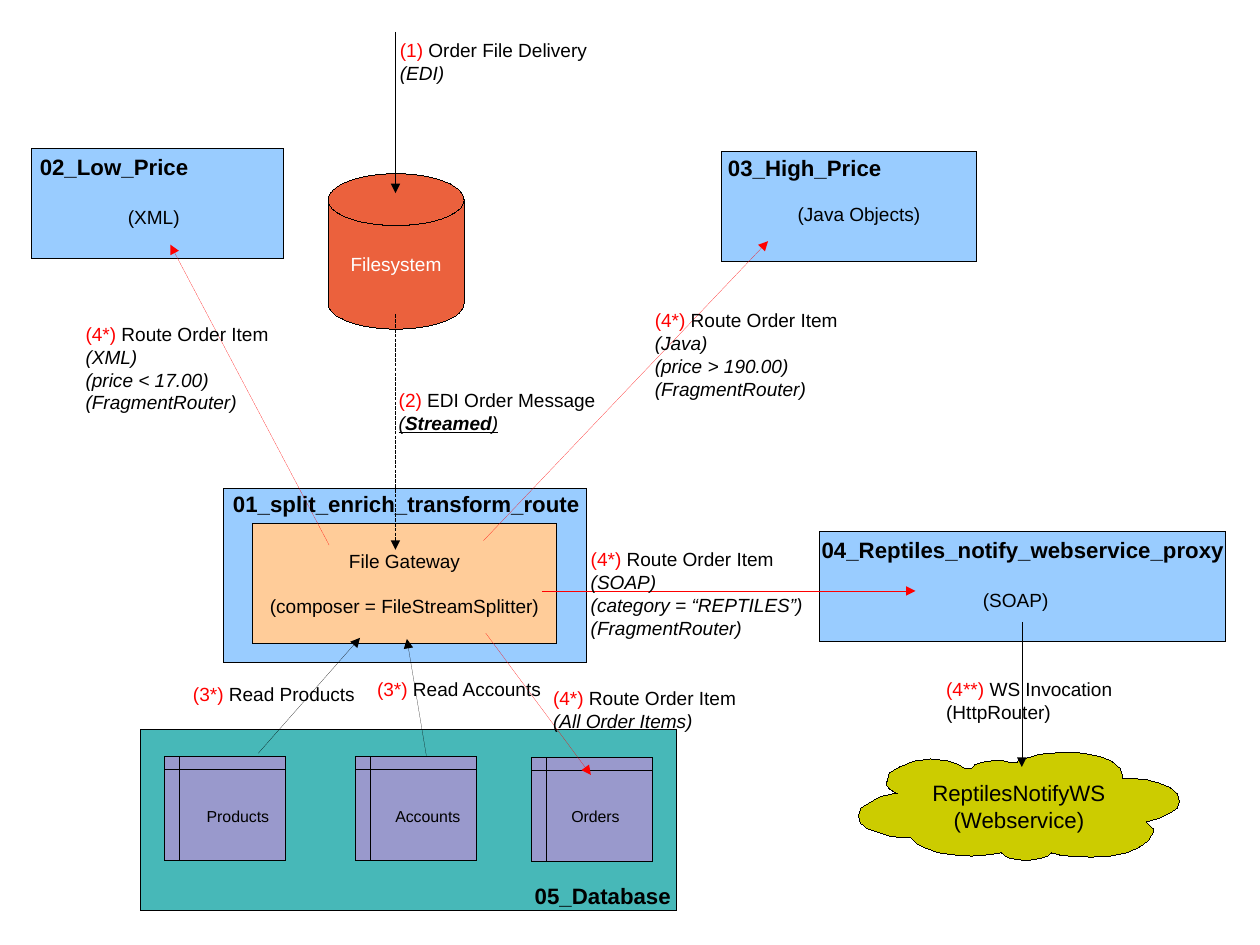
from lxml.etree import SubElement
from pptx import Presentation
from pptx.dml.color import RGBColor
from pptx.enum.dml import MSO_LINE
from pptx.enum.shapes import MSO_CONNECTOR, MSO_SHAPE
from pptx.enum.text import MSO_ANCHOR, MSO_AUTO_SIZE, PP_ALIGN
from pptx.oxml.ns import qn
from pptx.util import Cm, Inches, Pt

BLACK, RED, WHITE = "000000", "FF0000", "FFFFFF"
BLUE, PEACH, TEAL = "99CCFF", "FFCC99", "47B8B8"
LILAC, ORANGE, OLIVE = "9999CC", "EB613D", "CCCC00"
HAIR = Pt(0.01)
SLACK = 0.04  # keeps each label on its own line

# style: (size, colour, font settings)
STYLES = {
    "plain": (12, BLACK, {}),
    "tag": (12, RED, {}),
    "white": (12, WHITE, {}),
    "italic": (12, BLACK, {"italic": True}),
    "under": (12, BLACK, {"italic": True, "underline": True}),
    "strong": (12, BLACK, {"italic": True, "underline": True, "bold": True}),
    "head": (14, BLACK, {"bold": True}),
    "large": (14, BLACK, {}),
    "small": (10, BLACK, {}),
}

RECT, DISK = MSO_SHAPE.RECTANGLE, MSO_SHAPE.FLOWCHART_MAGNETIC_DISK
STORE = MSO_SHAPE.FLOWCHART_INTERNAL_STORAGE

# kind, left, top, width, height, fill, style, centred lines
BOXES = [
    (RECT, 1.23, 6.38, 4.69, 1.59, TEAL, "plain", []),
    (RECT, 1.96, 4.27, 3.17, 1.53, BLUE, "plain", []),
    (RECT, 2.21, 4.58, 2.66, 1.05, PEACH, "plain",
     ["File Gateway", "(composer = FileStreamSplitter)"]),
    (DISK, 2.87, 1.52, 1.19, 1.36, ORANGE, "white", ["Filesystem"]),
    (RECT, 0.28, 1.3, 2.2, 0.96, BLUE, "plain", []),
    (RECT, 6.31, 1.33, 2.23, 0.96, BLUE, "plain", []),
    (RECT, 7.17, 4.65, 3.55, 0.96, BLUE, "plain", []),
    (STORE, 1.44, 6.62, 1.06, 0.91, LILAC, "plain", []),
    (STORE, 3.11, 6.62, 1.06, 0.91, LILAC, "plain", []),
    (STORE, 4.65, 6.63, 1.06, 0.91, LILAC, "plain", []),
]

# outline in hundredths of an inch
CLOUD = [
    (1003, 719), (1005, 721), (1007, 723), (1009, 725), (1009, 728), (1005, 735),
    (997, 741), (986, 746), (971, 749), (954, 750), (944, 749), (935, 749),
    (927, 748), (920, 746), (916, 749), (910, 751), (905, 752), (897, 753),
    (891, 752), (884, 751), (880, 749), (876, 746), (871, 747), (863, 748),
    (850, 749), (835, 748), (821, 746), (810, 742), (802, 738), (797, 733),
    (793, 733), (780, 732), (768, 728), (759, 725), (753, 720), (751, 714),
    (753, 707), (761, 702), (770, 697), (783, 694), (785, 694), (781, 692),
    (778, 690), (776, 687), (776, 684), (778, 676), (787, 671), (799, 666),
    (814, 664), (823, 665), (831, 666), (839, 669), (844, 672), (850, 672),
    (853, 669), (859, 667), (865, 666), (872, 665), (876, 665), (880, 666),
    (884, 667), (890, 667), (890, 666), (899, 663), (909, 660), (920, 659),
    (933, 658), (948, 659), (963, 662), (973, 666), (980, 672), (982, 678),
    (982, 681), (988, 681), (1003, 682), (1014, 685), (1024, 689), (1030, 694),
    (1032, 701), (1030, 707), (1024, 711), (1014, 716),
]
SERVICE = ["ReptilesNotifyWS", "(Webservice)"]

# start x, start y, end x, end y, colour, dashed
ARROWS = [
    (3.46, 0.28, 3.46, 1.69, BLACK, False),
    (3.46, 2.75, 3.46, 4.81, BLACK, True),
    (2.26, 6.59, 3.15, 5.58, BLACK, False),
    (3.73, 6.61, 3.56, 5.59, BLACK, False),
    (2.88, 4.77, 1.49, 2.14, RED, False),
    (4.25, 5.54, 5.17, 6.78, RED, False),
    (4.23, 4.73, 6.72, 2.11, RED, False),
    (4.74, 5.17, 8.01, 5.17, RED, False),
    (8.94, 5.44, 8.94, 6.71, BLACK, False),
]

# left, top, width, style, text
LABELS = [
    (4.58, 7.67, 1.39, "head", "05_Database"),
    (1.94, 4.24, 3.23, "head", "01_split_enrich_transform_route"),
    (0.25, 1.29, 1.5, "head", "02_Low_Price"),
    (6.27, 1.3, 1.54, "head", "03_High_Price"),
    (7.09, 4.64, 3.72, "head", "04_Reptiles_notify_webservice_proxy"),
    (1.02, 1.75, 0.65, "plain", "(XML)"),
    (6.88, 1.72, 1.27, "plain", "(Java Objects)"),
    (8.5, 5.1, 0.77, "plain", "(SOAP)"),
    (1.71, 7.01, 0.74, "small", "Products"),
    (3.36, 7.01, 0.77, "small", "Accounts"),
    (4.9, 7.01, 0.62, "small", "Orders"),
]

# left, top, width, step, title, further lines of (style, text) runs
ROUTE = "Route Order Item"
ROUTER = [("italic", "(FragmentRouter)")]
STEPS = [
    (3.4, 0.29, 1.84, "(1)", "Order File Delivery", [[("italic", "(EDI)")]]),
    (3.39, 3.35, 1.92, "(2)", "EDI Order Message",
     [[("under", "("), ("strong", "Streamed"), ("under", ")")]]),
    (1.59, 5.92, 1.62, "(3*)", "Read Products", []),
    (3.2, 5.88, 1.65, "(3*)", "Read Accounts", []),
    (0.65, 2.77, 1.81, "(4*)", ROUTE,
     [[("italic", "(XML)")], [("italic", "(price < 17.00)")], ROUTER]),
    (4.74, 5.96, 1.81, "(4*)", ROUTE, [[("italic", "(All Order Items)")]]),
    (5.63, 2.65, 1.81, "(4*)", ROUTE,
     [[("italic", "(Java)")], [("italic", "(price > 190.00)")], ROUTER]),
    (5.07, 4.74, 2.06, "(4*)", ROUTE,
     [[("italic", "(SOAP)")], [("italic", "(category = “REPTILES”)")], ROUTER]),
    (8.18, 5.88, 1.66, "(4**)", "WS Invocation", [[("plain", "(HttpRouter)")]]),
]


def color(code):
    return RGBColor.from_string(code)


def write(frame, lines, align=PP_ALIGN.LEFT, gap=0):
    """Fill a text frame with lines, each a list of (style, text) runs."""
    for i, runs in enumerate(lines):
        para = frame.add_paragraph() if i else frame.paragraphs[0]
        para.alignment = align
        if i:
            para.space_before = Pt(gap)
        for style, text in runs:
            size, tint, extra = STYLES[style]
            run = para.add_run()
            run.text = text
            run.font.color.rgb = color(tint)
            for key, value in {"name": "Arial", "size": Pt(size), **extra}.items():
                setattr(run.font, key, value)


def paint(shape, fill, style, lines, gap=0):
    shape.shadow.inherit = False
    shape.fill.solid()
    shape.fill.fore_color.rgb = color(fill)
    shape.line.color.rgb = color(BLACK)
    shape.line.width = HAIR
    if lines:
        shape.text_frame.word_wrap = True
        shape.text_frame.vertical_anchor = MSO_ANCHOR.MIDDLE
        write(shape.text_frame, [[(style, line)] for line in lines],
              PP_ALIGN.CENTER, gap)


def label(shapes, left, top, width, lines):
    size = STYLES[lines[0][0][0]][0]
    height = 0.1 + len(lines) * size * 1.13 / 72
    box = shapes.add_textbox(*map(Inches, (left, top, width + SLACK, height)))
    box.text_frame.word_wrap = False
    box.text_frame.auto_size = MSO_AUTO_SIZE.SHAPE_TO_FIT_TEXT
    write(box.text_frame, lines)


def arrow(shapes, ends, tint, dashed):
    link = shapes.add_connector(MSO_CONNECTOR.STRAIGHT, *map(Inches, ends))
    link.line.color.rgb = color(tint)
    link.line.width = HAIR
    if dashed:
        link.line.dash_style = MSO_LINE.SQUARE_DOT
    props = link._element.spPr
    SubElement(props.find(qn("a:ln")), qn("a:tailEnd"), type="triangle")
    SubElement(props, qn("a:effectLst"))


def main():
    deck = Presentation()
    deck.slide_width = Cm(28)
    deck.slide_height = Cm(21)
    shapes = deck.slides.add_slide(deck.slide_layouts[6]).shapes

    for kind, left, top, width, height, fill, style, lines in BOXES:
        box = shapes.add_shape(kind, *map(Inches, (left, top, width, height)))
        paint(box, fill, style, lines, gap=13.8)

    pen = shapes.build_freeform(*CLOUD[0], scale=Inches(0.01))
    pen.add_line_segments(CLOUD[1:], close=True)
    paint(pen.convert_to_shape(), OLIVE, "large", SERVICE)

    for *ends, tint, dashed in ARROWS:
        arrow(shapes, ends, tint, dashed)
    for left, top, width, style, text in LABELS:
        label(shapes, left, top, width, [[(style, text)]])
    for left, top, width, step, title, more in STEPS:
        first = [("tag", step), ("plain", " " + title)]
        label(shapes, left, top, width, [first, *more])

    deck.save("out.pptx")


if __name__ == "__main__":
    main()
